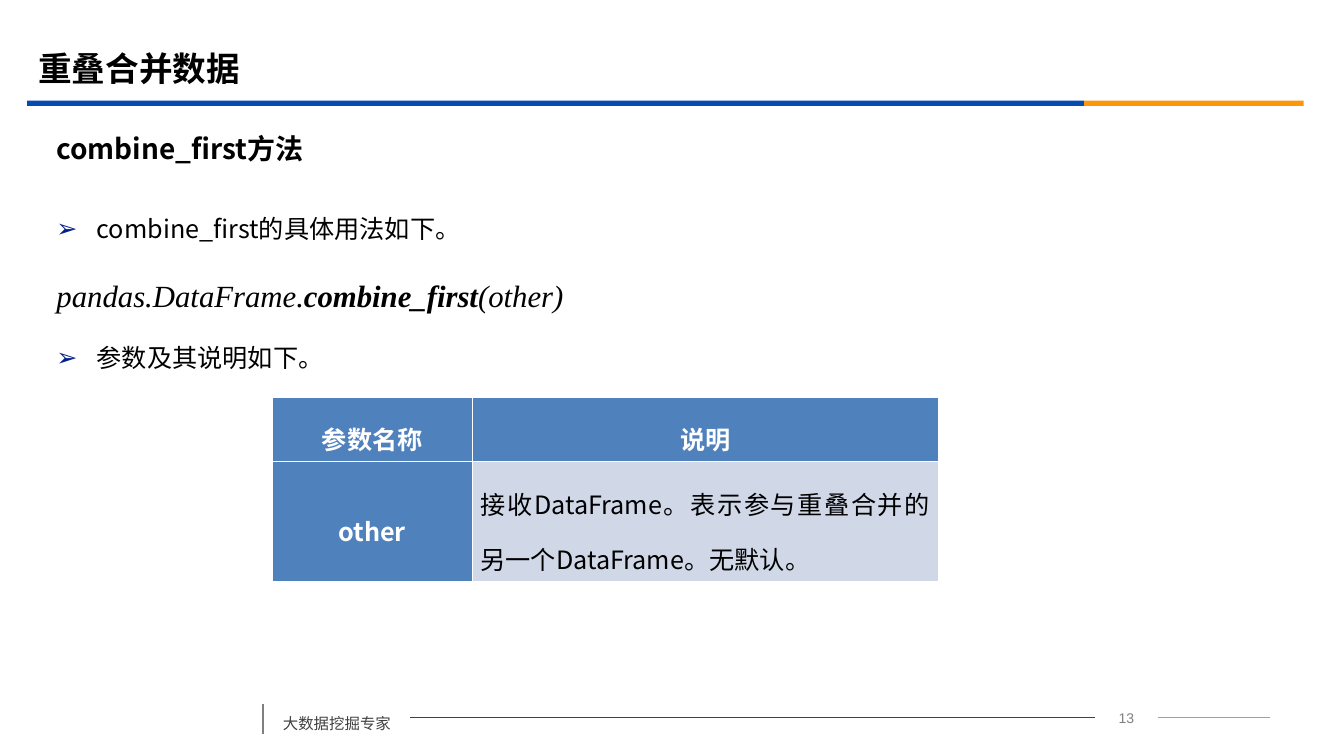
from lxml.etree import SubElement as Sub
from pptx import Presentation
from pptx.dml.color import RGBColor as Rgb
from pptx.enum.shapes import MSO_CONNECTOR as Conn, MSO_SHAPE as Form
from pptx.enum.text import MSO_ANCHOR as Anchor, MSO_AUTO_SIZE as Fit, PP_ALIGN as Align
from pptx.oxml.ns import qn
from pptx.util import Inches, Pt

HUES = {
    "blue": "064BB2", "gold": "FB9708", "amber": "F19500", "navy": "032089",
    "black": "000000", "dark": "404040", "gray": "7F7F7F", "white": "FFFFFF",
    "head": "4F81BD", "cell": "D0D8E8",
}
SANS, SERIF, PLAIN = "Noto Sans CJK SC", "Times New Roman", "Arial"


def hue(name):
    return Rgb.from_string(HUES[name])


def write(para, text, size=18, color="black", face=SANS, bold=False, slant=False,
          align=Align.LEFT, line=1.0, before=0):
    """Add one run to a paragraph and set the paragraph's format."""
    para.alignment, para.line_spacing, para.space_before = align, line, Pt(before)
    run = para.add_run()
    run.text = text
    font = run.font
    font.size, font.name, font.bold, font.italic = Pt(size), face, bold, slant
    font.color.rgb = hue(color)
    Sub(font._element, qn("a:ea"), typeface=face)


def indent(para, mark=None):
    """Give a paragraph a hanging indent, with or without a bullet."""
    props = para._p.get_or_add_pPr()
    props.set("marL", str(Inches(0.4)))
    props.set("indent", str(-Inches(0.4)))
    if mark:
        tint = Sub(props, qn("a:buClr"))
        Sub(tint, qn("a:srgbClr"), val=HUES["navy"])
        Sub(props, qn("a:buChar"), char=mark)
    else:
        Sub(props, qn("a:buNone"))


class Page:
    """One slide on a grid of 100 columns by 100 rows."""

    def __init__(self, wide, high):
        self.deck = Presentation()
        self.deck.slide_width, self.deck.slide_height = Inches(wide), Inches(high)
        self.col, self.row = Inches(wide) / 100, Inches(high) / 100
        self.slide = self.deck.slides.add_slide(self.deck.slide_layouts[1])
        self.shapes = self.slide.shapes

    def grid(self, x, y, *rest):
        """Turn columns and rows into lengths, in x, y order."""
        return [round(n * (self.row if i % 2 else self.col))
                for i, n in enumerate((x, y, *rest))]

    def bar(self, box, color):
        shape = self.shapes.add_shape(Form.RECTANGLE, *self.grid(*box))
        shape.shadow.inherit = False
        shape.fill.solid()
        shape.fill.fore_color.rgb = hue(color)
        shape.line.fill.background()

    def rule(self, ends, color, width=0.75):
        line = self.shapes.add_connector(Conn.STRAIGHT, *self.grid(*ends))
        line.line.color.rgb = hue(color)
        line.line.width = Pt(width)
        node = line._element
        Sub(node.spPr, qn("a:effectLst"))
        node.remove(node.find(qn("p:style")))  # theme effects dull the colour

    def label(self, box, text, anchor=Anchor.TOP, **style):
        frame = self.shapes.add_textbox(*self.grid(*box)).text_frame
        frame.word_wrap, frame.vertical_anchor = True, anchor
        write(frame.paragraphs[0], text, **style)

    def holder(self, index, box, anchor):
        """Move a placeholder and hand back its text frame."""
        shape = self.slide.placeholders[index]
        shape.left, shape.top, shape.width, shape.height = self.grid(*box)
        frame = shape.text_frame
        frame.auto_size, frame.vertical_anchor = Fit.NONE, anchor
        return frame

    def title(self, box, text, **style):
        write(self.holder(0, box, Anchor.MIDDLE).paragraphs[0], text, **style)

    def body(self, box, items):
        frame = self.holder(1, box, Anchor.TOP)
        for i, (mark, runs) in enumerate(items):
            para = frame.add_paragraph() if i else frame.paragraphs[0]
            indent(para, mark)
            for text, style in runs:
                write(para, text, line=1.5, before=10 if i else 0, **style)

    def edge(self, cell, widths):
        """Draw white borders: left, right, top, bottom."""
        props = cell._tc.get_or_add_tcPr()
        for i, (side, width) in enumerate(zip("LRTB", widths)):
            line = Sub(props, qn("a:ln" + side), w=str(Pt(width)))
            Sub(Sub(line, qn("a:solidFill")), qn("a:srgbClr"), val=HUES["white"])
            props.insert(i, line)

    def table(self, spot, cols, rows, data):
        box = self.grid(*spot, sum(cols), sum(rows))
        table = self.shapes.add_table(len(rows), len(cols), *box).table
        for i, width in enumerate(cols):
            table.columns[i].width = round(width * self.col)
        for r, texts in enumerate(data):
            table.rows[r].height = round(rows[r] * self.row)
            for c, text in enumerate(texts):
                cell, note = table.cell(r, c), r > 0 and c > 0
                cell.vertical_anchor = Anchor.MIDDLE
                cell.margin_left = cell.margin_right = Inches(0.08)
                cell.fill.solid()
                cell.fill.fore_color.rgb = hue("cell" if note else "head")
                self.edge(cell, (0.45, 0.45, 1.47 if r else 0.45, 0.45 if r else 1.47))
                write(cell.text_frame.paragraphs[0], text, line=1.5, bold=not note,
                      color="black" if note else "white",
                      align=Align.JUSTIFY if note else Align.CENTER)


def main():
    page = Page(13.34, 7.5)

    # Title and the two-colour bar below it
    page.title((2.1, 5.2, 89.96, 7.73), "重叠合并数据", size=24, bold=True)
    page.bar((2.02, 13.33, 78.64, 0.67), "blue")
    page.bar((80.66, 13.33, 16.34, 0.67), "gold")

    # Heading and list
    page.label((3.45, 16.53, 91.08, 6.27), "combine_first方法",
               anchor=Anchor.MIDDLE, size=20, bold=True)
    code = dict(size=22, face=SERIF, slant=True)
    page.body((3.45, 25.6, 91.08, 63.73), [
        ("➢", [("combine_first的具体用法如下。", {})]),
        (None, [("pandas.DataFrame.", code),
                ("combine_first", dict(code, bold=True)),
                ("(other)", code)]),
        ("➢", [("参数及其说明如下。", {})]),
    ])

    # Parameter table, with rows tall enough for one and two lines
    page.table((20.24, 52.53), (14.92, 34.63), (8.53, 15.87), [
        ("参数名称", "说明"),
        ("other", "接收DataFrame。表示参与重叠合并的另一个DataFrame。无默认。"),
    ])

    # Footer
    page.rule((19.57, 93.07, 19.57, 97.07), "gray", 1.25)
    page.label((20.31, 92.53, 10.19, 5.07), "大数据挖掘专家",
               size=11, color="dark", line=1.5)
    page.rule((30.51, 94.93, 81.48, 94.93), "blue")
    page.label((81.48, 93.2, 4.65, 3.33), "13", size=10, color="gray",
               face=PLAIN, align=Align.CENTER)
    page.rule((86.13, 94.93, 94.53, 94.93), "amber")

    page.deck.save("out.pptx")


if __name__ == "__main__":
    main()
